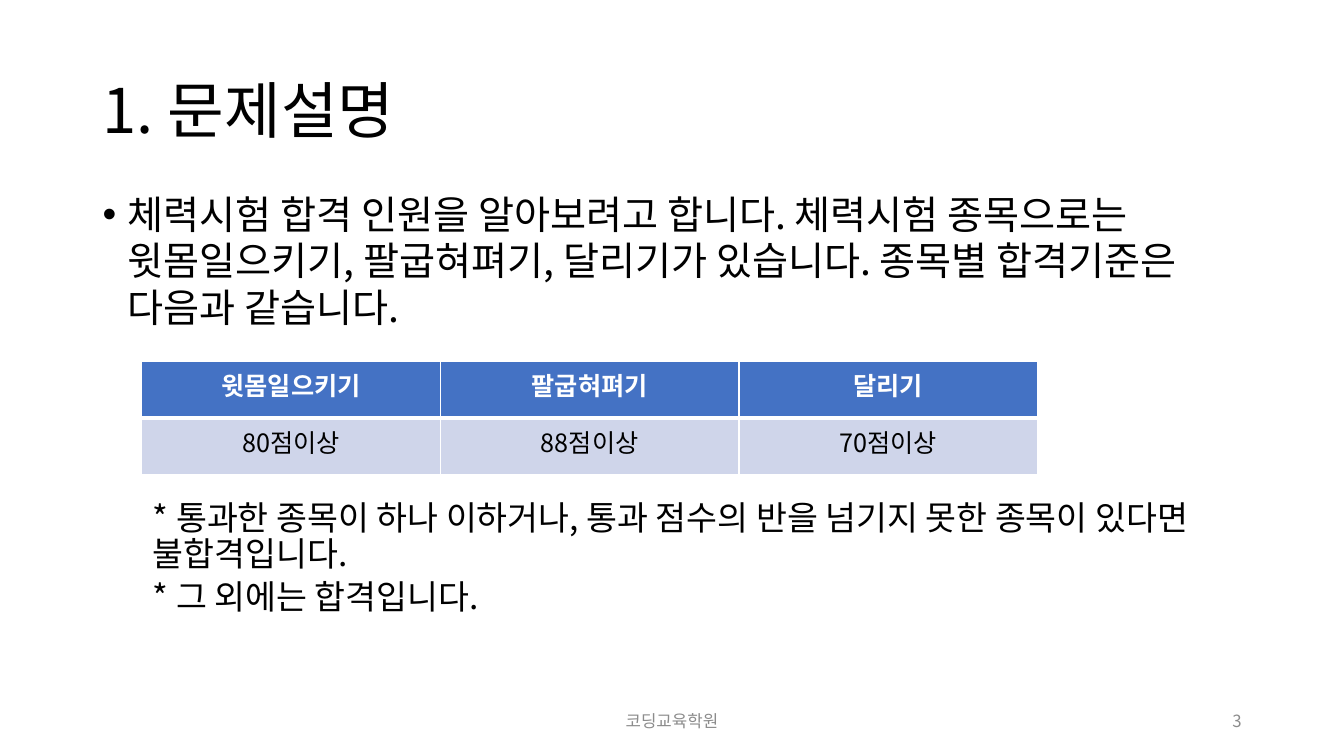
from lxml import etree
from pptx import Presentation
from pptx.dml.color import RGBColor
from pptx.enum.text import MSO_ANCHOR as Anchor, MSO_AUTO_SIZE as AutoSize, PP_ALIGN as Align
from pptx.oxml.ns import qn
from pptx.util import Cm, Pt

FONT = "Noto Sans CJK KR"
BLACK = RGBColor(0x00, 0x00, 0x00)
WHITE = RGBColor(0xFF, 0xFF, 0xFF)
GRAY = RGBColor(0x8C, 0x8C, 0x8C)
BLUE = RGBColor(0x44, 0x72, 0xC4)
PALE_BLUE = RGBColor(0xCF, 0xD5, 0xEA)

INTRO = ("체력시험 합격 인원을 알아보려고 합니다. 체력시험 종목으로는 윗몸일으키기, "
         "팔굽혀펴기, 달리기가 있습니다. 종목별 합격기준은 다음과 같습니다.")
NOTES = ["* 통과한 종목이 하나 이하거나, 통과 점수의 반을 넘기지 못한 종목이 있다면 불합격입니다.",
         "* 그 외에는 합격입니다."]
CRITERIA = [["윗몸일으키기", "팔굽혀펴기", "달리기"],
            ["80점이상", "88점이상", "70점이상"]]


def add_span(para, text, size, color, bold=False):
    span = para.add_run()
    span.text = text
    span.font.name = FONT
    span.font.size = Pt(size)
    span.font.bold = bold
    span.font.color.rgb = color
    east_asian = etree.SubElement(span.font._element, qn("a:ea"))
    east_asian.set("typeface", FONT)


def place(shape, box):
    shape.left, shape.top, shape.width, shape.height = box


def set_bullet(para, margin, indent, char=None):
    properties = para._p.get_or_add_pPr()
    properties.set("marL", str(margin))
    properties.set("indent", str(indent))
    if char:
        etree.SubElement(properties, qn("a:buFont")).set("typeface", "Arial")
        etree.SubElement(properties, qn("a:buChar")).set("char", char)
    else:
        etree.SubElement(properties, qn("a:buNone"))


def set_borders(cell, bottom_width):
    properties = cell._tc.get_or_add_tcPr()
    for side, width in (("L", 1), ("R", 1), ("T", 1), ("B", bottom_width)):
        line = etree.SubElement(properties, qn(f"a:ln{side}"), w=str(Pt(width)))
        fill = etree.SubElement(line, qn("a:solidFill"))
        etree.SubElement(fill, qn("a:srgbClr"), val=str(WHITE))


def fill_title(title, box):
    place(title, box)
    frame = title.text_frame
    frame.auto_size = AutoSize.NONE
    frame.vertical_anchor = Anchor.MIDDLE
    para = frame.paragraphs[0]
    para.alignment = Align.LEFT
    para.line_spacing = 0.9
    add_span(para, "1. 문제설명", 44, BLACK)


def fill_body(body, box):
    place(body, box)
    frame = body.text_frame
    frame.auto_size = AutoSize.NONE
    frame.vertical_anchor = Anchor.TOP

    # Bulleted introduction
    para = frame.paragraphs[0]
    set_bullet(para, Cm(0.64), Cm(-0.64), "•")
    para.space_before = Pt(0)
    para.line_spacing = Pt(33.2)
    add_span(para, INTRO, 28, BLACK)

    # Notes, with room for the table above the first one
    for note, gap in zip(NOTES, (122, 5)):
        para = frame.add_paragraph()
        para.level = 1
        set_bullet(para, Cm(1.27), 0)
        para.space_before = Pt(gap)
        para.line_spacing = Pt(25.7)
        add_span(para, note, 24, BLACK)


def add_criteria_table(page, box):
    row_count, column_count = len(CRITERIA), len(CRITERIA[0])
    table = page.shapes.add_table(row_count, column_count, *box).table
    for r, texts in enumerate(CRITERIA):
        header = r == 0
        for c, text in enumerate(texts):
            cell = table.cell(r, c)
            set_borders(cell, 3 if header else 1)
            cell.fill.solid()
            cell.fill.fore_color.rgb = BLUE if header else PALE_BLUE
            para = cell.text_frame.paragraphs[0]
            para.alignment = Align.CENTER
            add_span(para, text, 18, WHITE if header else BLACK, header)


def add_footer_text(page, box, text, alignment):
    frame = page.shapes.add_textbox(*box).text_frame
    frame.word_wrap = True
    frame.vertical_anchor = Anchor.MIDDLE
    para = frame.paragraphs[0]
    para.alignment = alignment
    add_span(para, text, 12, GRAY)


def build_problem_page(deck):
    page = deck.slides.add_slide(deck.slide_layouts[1])
    left, width = Cm(2.33), Cm(29.21)
    fill_title(page.shapes.title, (left, Cm(1.01), width, Cm(3.68)))
    fill_body(page.placeholders[1], (left, Cm(4.68), width, Cm(12.55)))
    add_criteria_table(page, (Cm(3.57), Cm(9.1), Cm(22.58), Cm(2.87)))

    # Footer and page number
    top, height = Cm(17.65), Cm(1.02)
    add_footer_text(page, (Cm(11.22), top, Cm(11.43), height), "코딩교육학원", Align.CENTER)
    add_footer_text(page, (Cm(23.92), top, Cm(7.62), height), "3", Align.RIGHT)


def main():
    deck = Presentation()
    deck.slide_width, deck.slide_height = Cm(33.87), Cm(19.05)
    build_problem_page(deck)
    deck.save("out.pptx")


if __name__ == "__main__":
    main()
